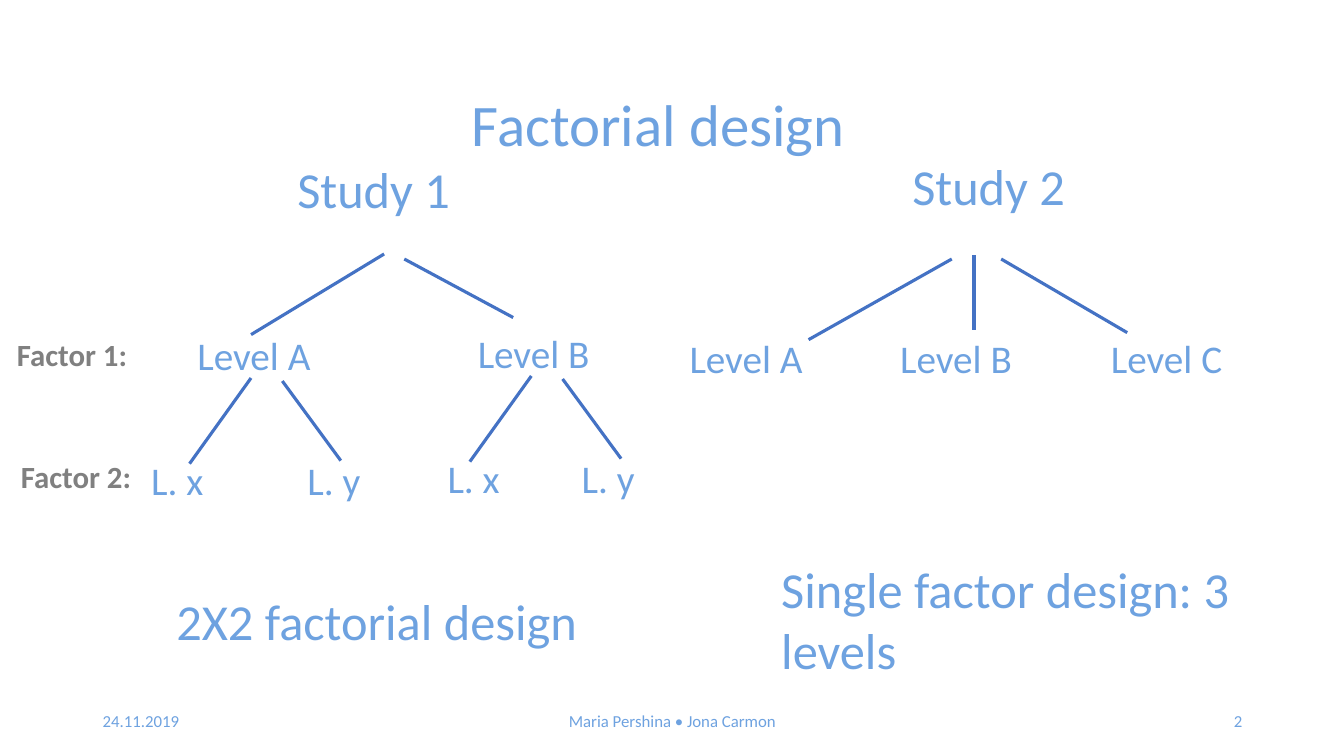
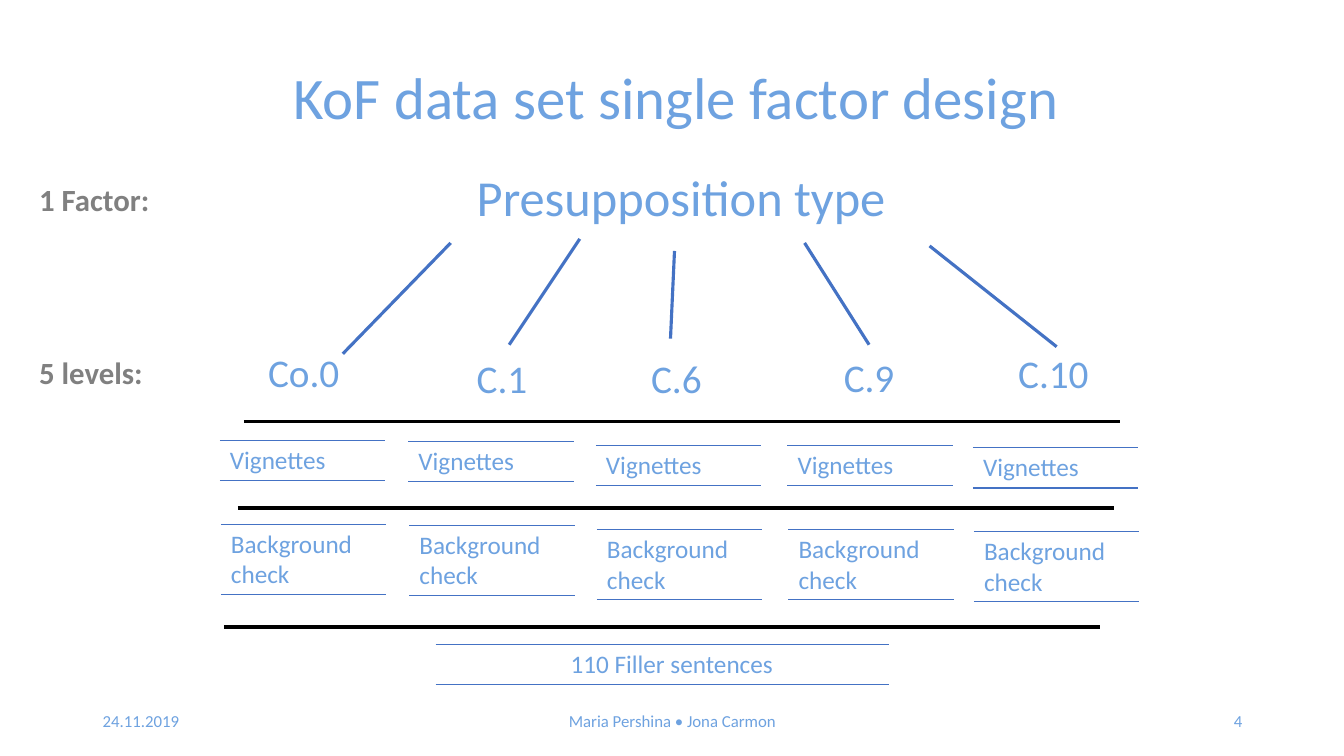
from pptx import Presentation
from pptx.dml.color import RGBColor
from pptx.enum.shapes import MSO_CONNECTOR
from pptx.enum.text import MSO_ANCHOR, MSO_AUTO_SIZE, PP_ALIGN
from pptx.oxml.ns import qn
from pptx.util import Inches, Pt
from lxml.etree import SubElement

SKY, BLUE, GREY, BLACK = "6EA2E0", "4472C4", "808080", "000000"
FONT = "Calibri"
HEADING, LEVEL, LABEL, CELL, FOOTER = 36, 28, 22, 18, 12
TITLE = 42


def rgb(value):
    """Turn a hex string into a colour."""
    return RGBColor.from_string(value)


def write(tf, text, size, color=SKY, bold=False, align=PP_ALIGN.LEFT):
    """Fill a text frame with one formatted paragraph."""
    p = tf.paragraphs[0]
    p.alignment = align
    r = p.add_run()
    r.text = text
    for name, value in {"name": FONT, "size": Pt(size), "bold": bold}.items():
        setattr(r.font, name, value)
    r.font.color.rgb = rgb(color)


def add_text(s, text, x, y, w, h, size, anchor=MSO_ANCHOR.TOP, **style):
    """Add a wrapping text box."""
    sp = s.shapes.add_textbox(Inches(x), Inches(y), Inches(w), Inches(h))
    tf = sp.text_frame
    for name, value in {"word_wrap": True, "vertical_anchor": anchor}.items():
        setattr(tf, name, value)
    write(tf, text, size, **style)


def add_line(s, x1, y1, x2, y2, color=BLUE):
    """Add a straight line without a shadow."""
    sp = s.shapes.add_connector(MSO_CONNECTOR.STRAIGHT, Inches(x1), Inches(y1),
                                Inches(x2), Inches(y2))
    sp.line.color.rgb = rgb(color)
    sp.line.width = Pt(2.25)
    SubElement(sp._element.spPr, qn("a:effectLst"))


def add_lines(s, x, y, lines):
    """Add lines given as offsets from a corner."""
    for x1, y1, x2, y2 in lines:
        add_line(s, x + x1, y + y1, x + x2, y + y2)


def add_border(cell, side, color=None):
    """Draw one cell edge, or hide it when no colour is given."""
    ln = SubElement(cell._tc.get_or_add_tcPr(), qn(f"a:{side}"), w=str(Pt(1)))
    if color:
        fill = SubElement(ln, qn("a:solidFill"))
        SubElement(fill, qn("a:srgbClr"), val=color)
    else:
        SubElement(ln, qn("a:noFill"))


def add_ruled_cell(s, text, x, y, w, h, indent=0.1):
    """Add a one-cell table ruled above and below."""
    table = s.shapes.add_table(1, 1, Inches(x), Inches(y), Inches(w), Inches(h)).table
    table.first_row = table.horz_banding = False
    cell = table.cell(0, 0)
    cell.margin_left = Inches(indent)
    write(cell.text_frame, text, CELL)
    for side, color in {"lnL": None, "lnR": None, "lnT": BLUE, "lnB": BLUE}.items():
        add_border(cell, side, color)
    cell.fill.background()


def add_footer(s, number, y=6.95):
    """Add the date, the authors and the slide number."""
    for text, x, w, align in (("24.11.2019", 0.92, 3, PP_ALIGN.LEFT),
                              ("Maria Pershina • Jona Carmon", 4.42, 4.5, PP_ALIGN.CENTER),
                              (number, 9.42, 3, PP_ALIGN.RIGHT)):
        add_text(s, text, x, y, w, 0.4, FOOTER, MSO_ANCHOR.MIDDLE, align=align)


def add_slide(prs, title, x, y, w, number):
    """Add a slide with its title and footer."""
    s = prs.slides.add_slide(prs.slide_layouts[5])
    sp = s.shapes.title
    box = {"left": x, "top": y, "width": w, "height": 0.81}
    for name, value in box.items():
        setattr(sp, name, Inches(value))
    tf = sp.text_frame
    for name, value in {"word_wrap": True, "auto_size": MSO_AUTO_SIZE.NONE,
                        "vertical_anchor": MSO_ANCHOR.TOP}.items():
        setattr(tf, name, value)
    write(tf, title, TITLE)
    add_footer(s, number)
    return s


def add_labels(s, labels):
    """Add the grey row labels."""
    for text, x, y, w in labels:
        add_text(s, text, x, y, w, 0.47, LABEL, color=GREY, bold=True)


def add_level(s, name, x, y, leaves):
    """Add a level with its two branches and leaves."""
    add_text(s, name, x, y, 2.11, 0.57, LEVEL)
    add_lines(s, x, y, [(0.63, 0.51, 0.02, 1.36), (0.94, 0.54, 1.52, 1.33)])
    for leaf, dx in zip(("L. x", "L. y"), leaves):
        add_text(s, leaf, x + dx, y + 1.24, 2.11, 0.57, LEVEL)


def add_two_factor_study(s, x, y):
    """Draw the study with two crossed factors."""
    add_text(s, "Study 1", x + 1.45, y, 2.11, 0.71, HEADING)
    add_lines(s, x, y, [(2.41, 1, 1.09, 1.8), (2.61, 1.05, 3.69, 1.63)])
    add_level(s, "Level A", x + 0.46, y + 1.72, (-0.46, 1.09))
    add_level(s, "Level B", x + 3.24, y + 1.7, (-0.3, 1.03))
    add_text(s, "2X2 factorial design", x + 0.25, y + 4.29, 4.65, 0.71, HEADING)


def add_one_factor_study(s, x, y):
    """Draw the study with a single factor."""
    add_text(s, "Study 2", x + 2.21, y, 1.86, 0.71, HEADING)
    add_lines(s, x, y, [(2.7, 1.08, 1.28, 1.88), (2.92, 1.04, 2.92, 1.78),
                        (3.19, 1.08, 4.44, 1.81)])
    for i, letter in enumerate("ABC"):
        add_text(s, f"Level {letter}", x + 2.09 * i, y + 1.78, 2.11, 0.57, LEVEL)
    add_text(s, "Single factor design: 3 levels", x + 0.91, y + 4, 4.65, 1.31, HEADING)


def add_type_tree(s, x, y):
    """Draw the presupposition type above its five levels."""
    add_text(s, "Presupposition type", x + 2.07, y, 4.45, 0.71, HEADING)
    add_lines(s, x, y, [(1.91, 0.81, 0.84, 1.91), (3.19, 0.77, 2.49, 1.82),
                        (4.13, 0.89, 4.09, 1.76), (5.42, 0.81, 6.06, 1.82),
                        (6.66, 0.84, 7.92, 1.84)])
    for text, dx, dy in (("Co.0", 0, 1.81), ("C.1", 2.07, 1.87), ("C.6", 3.8, 1.87),
                         ("C.9", 5.71, 1.86), ("C.10", 7.44, 1.82)):
        add_text(s, text, x + dx, y + dy, 1.49, 0.57, LEVEL)


def add_materials(s, x, y):
    """Draw the ruled rows of materials under the levels."""
    for dx, dy in ((0.24, 0), (0.18, 0.86), (0.04, 2.04)):
        add_line(s, x + dx, y + dy, x + dx + 8.69, y + dy, BLACK)
    for dx, dy in ((0, 0.19), (1.87, 0.2), (3.73, 0.24), (5.63, 0.24), (7.47, 0.26)):
        add_ruled_cell(s, "Vignettes", x + dx, y + dy, 1.64, 0.4)
        add_ruled_cell(s, "Background check", x + dx + 0.01, y + dy + 0.83, 1.64, 0.7)
    add_ruled_cell(s, "110 Filler sentences", x + 2.14, y + 2.21, 4.5, 0.4, 1.34)


def add_factorial_slide(prs):
    """Build the slide that compares two studies."""
    s = add_slide(prs, "Factorial design", 4.58, 0.82, 4.17, "2")
    add_two_factor_study(s, 1.4, 1.52)
    add_one_factor_study(s, 6.74, 1.49)
    add_labels(s, [("Factor 1:", 0.07, 3.28, 1.8), ("Factor 2:", 0.11, 4.49, 1.64)])


def add_data_set_slide(prs):
    """Build the slide on the single factor data set."""
    s = add_slide(prs, "KoF data set single factor design", 2.81, 0.55, 8.36, "4")
    add_labels(s, [("1 Factor:", 0.29, 1.74, 2.61), ("5 levels:", 0.29, 3.46, 2.61)])
    add_type_tree(s, 2.56, 1.6)
    add_materials(s, 2.18, 4.18)


def main():
    """Build and save the presentation."""
    prs = Presentation()
    prs.slide_width, prs.slide_height = Inches(13.33), Inches(7.5)
    add_factorial_slide(prs)
    add_data_set_slide(prs)
    prs.save("out.pptx")


if __name__ == "__main__":
    main()
